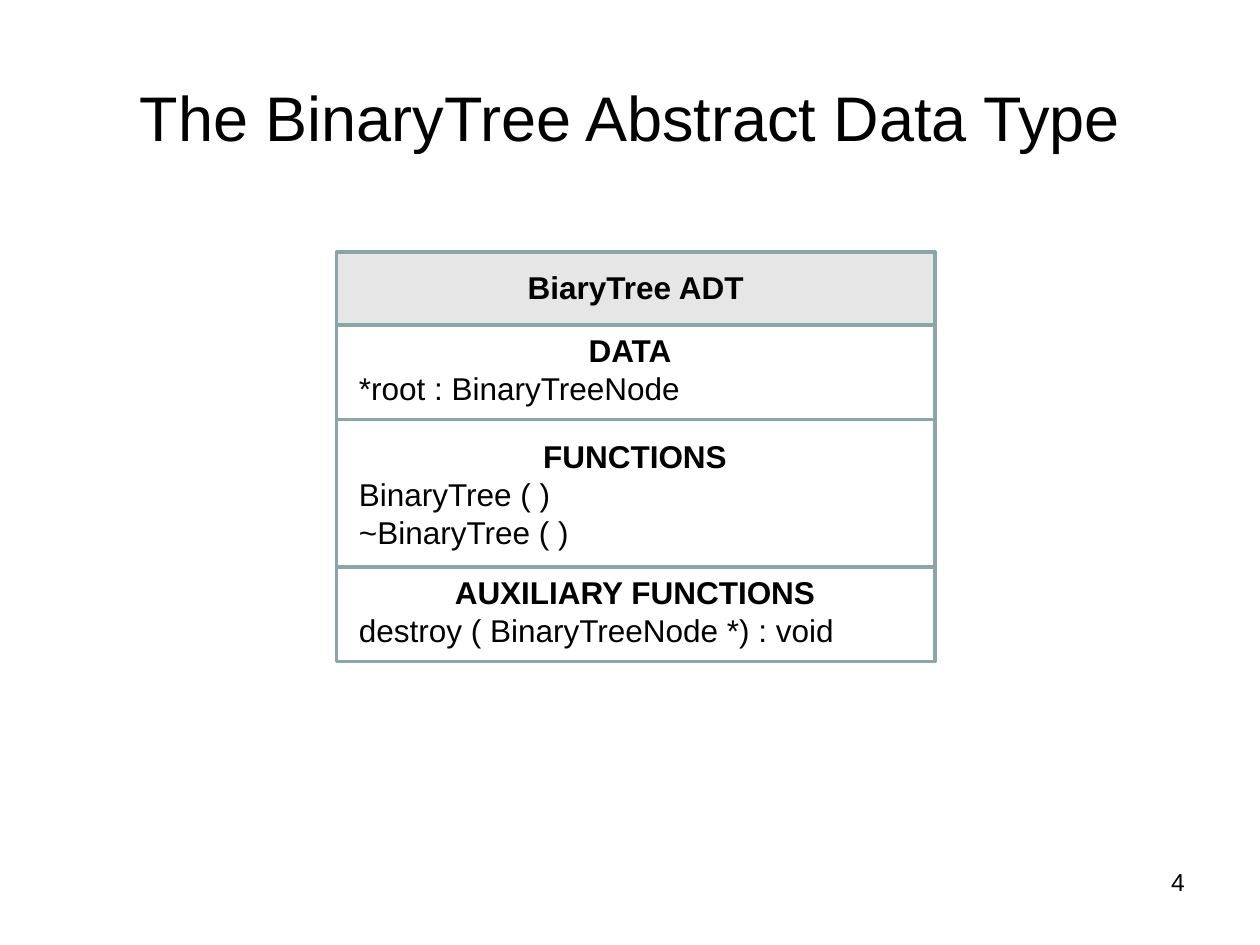
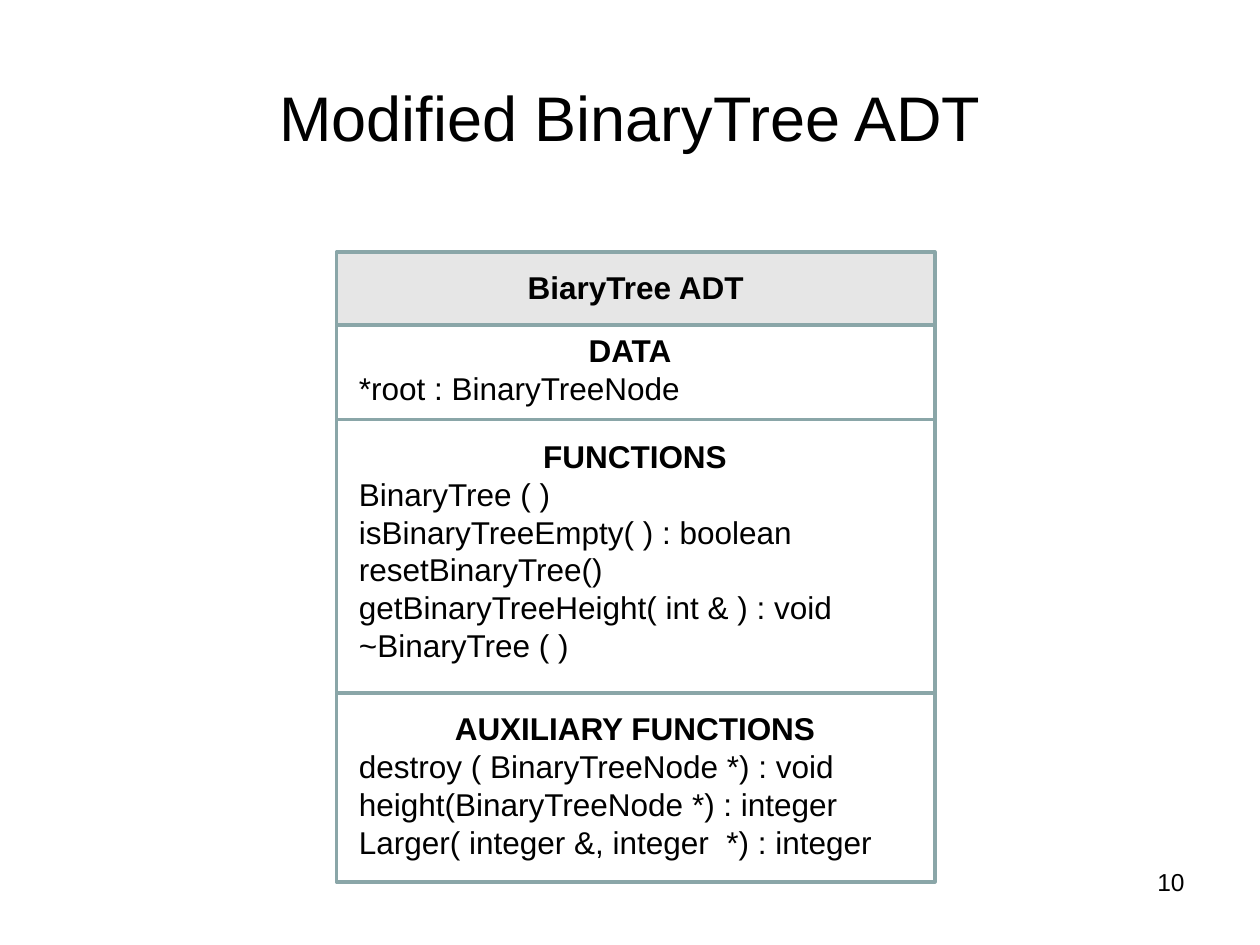
from pptx import Presentation
from pptx import util as u
from pptx.dml.color import RGBColor
from pptx.enum import shapes, text

HUES = {"ink": "000000", "edge": "8AA6A8", "head": "E6E6E6", "page": "FFFFFF"}
FONT = "Arial"
LEFT, TOP, WIDE = 2.67, 2, 4.75
INSET = 0.08
MID, START, END = text.PP_ALIGN.CENTER, text.PP_ALIGN.LEFT, text.PP_ALIGN.RIGHT

DATA = (0.75, 0, 4.5, "DATA", ["*root : BinaryTreeNode"])
PAGES = [
    ("The BinaryTree Abstract Data Type", "4", [
        DATA,
        (1.17, 0.09, 4.58, "FUNCTIONS", ["BinaryTree ( )", "~BinaryTree ( )"]),
        (0.75, 0, 4.58, "AUXILIARY FUNCTIONS",
         ["destroy ( BinaryTreeNode *) : void"]),
    ]),
    ("Modified BinaryTree ADT", "10", [
        DATA,
        (2.17, 0.09, 4.58, "FUNCTIONS", [
            "BinaryTree ( )",
            "isBinaryTreeEmpty( ) : boolean",
            "resetBinaryTree()",
            "getBinaryTreeHeight( int & ) : void",
            "~BinaryTree ( )",
        ]),
        (1.5, 0.08, 4.58, "AUXILIARY FUNCTIONS", [
            "destroy ( BinaryTreeNode *) : void",
            "height(BinaryTreeNode *) : integer",
            "Larger( integer &, integer  *) : integer",
        ]),
    ]),
]


def hue(name):
    """Return a named colour."""
    return RGBColor.from_string(HUES[name])


def place(box):
    """Turn a box in inches into lengths."""
    return [u.Inches(side) for side in box]


def write(slide, box, lines, size, anchor=text.MSO_ANCHOR.TOP):
    """Add a text box of (words, alignment, bold) lines."""
    frame = slide.shapes.add_textbox(*place(box)).text_frame
    frame.word_wrap = True
    frame.vertical_anchor = anchor
    for at, (words, align, bold) in enumerate(lines):
        para = frame.add_paragraph() if at else frame.paragraphs[0]
        para.alignment = align
        run = para.add_run()
        run.text = words
        font = run.font
        font.name, font.size, font.bold = FONT, u.Pt(size), bold
        font.color.rgb = hue("ink")


def panel(slide, box, fill=None):
    """Draw one outlined compartment."""
    shape = slide.shapes.add_shape(shapes.MSO_SHAPE.RECTANGLE, *place(box))
    shape.shadow.inherit = False
    shape.line.color.rgb = hue("edge")
    shape.line.width = u.Pt(2)
    if fill:
        shape.fill.solid()
        shape.fill.fore_color.rgb = hue(fill)
    else:
        shape.fill.background()


def header(slide, box):
    """Draw the shaded name bar of the type."""
    left, top, wide, _ = box
    panel(slide, box, "head")
    write(slide, (left, top + INSET, wide, 0.42),
          [("BiaryTree ADT", MID, True)], 18)


def section(slide, box, pad, span, head, items):
    """Draw a compartment with a bold heading and its members."""
    left, top, _, _ = box
    lines = [(head, MID, True)] + [(item, START, False) for item in items]
    panel(slide, box)
    write(slide, (left + INSET, top + pad, span, 0.1 + 0.3 * len(lines)),
          lines, 18)


def diagram(slide, left, top, wide, parts):
    """Stack the name bar and the sections."""
    tall = 0.58
    header(slide, (left, top, wide, tall))
    top += tall
    for tall, *rest in parts:
        section(slide, (left, top, wide, tall), *rest)
        top += tall


def page(deck, title, number, parts):
    """Add a slide with title, page number and diagram."""
    slide = deck.slides.add_slide(deck.slide_layouts[6])
    slide.background.fill.solid()
    slide.background.fill.fore_color.rgb = hue("page")
    write(slide, (0.5, 0.3, 9, 1.25), [(title, MID, False)], 36,
          text.MSO_ANCHOR.MIDDLE)
    write(slide, (8.58, 6.83, 0.92, 0.52), [(number, END, False)], 14)
    diagram(slide, LEFT, TOP, WIDE, parts)


def main():
    """Build and save the deck."""
    deck = Presentation()
    deck.slide_width, deck.slide_height = u.Inches(10), u.Inches(7.5)
    for item in PAGES:
        page(deck, *item)
    deck.save("out.pptx")


if __name__ == "__main__":
    main()
